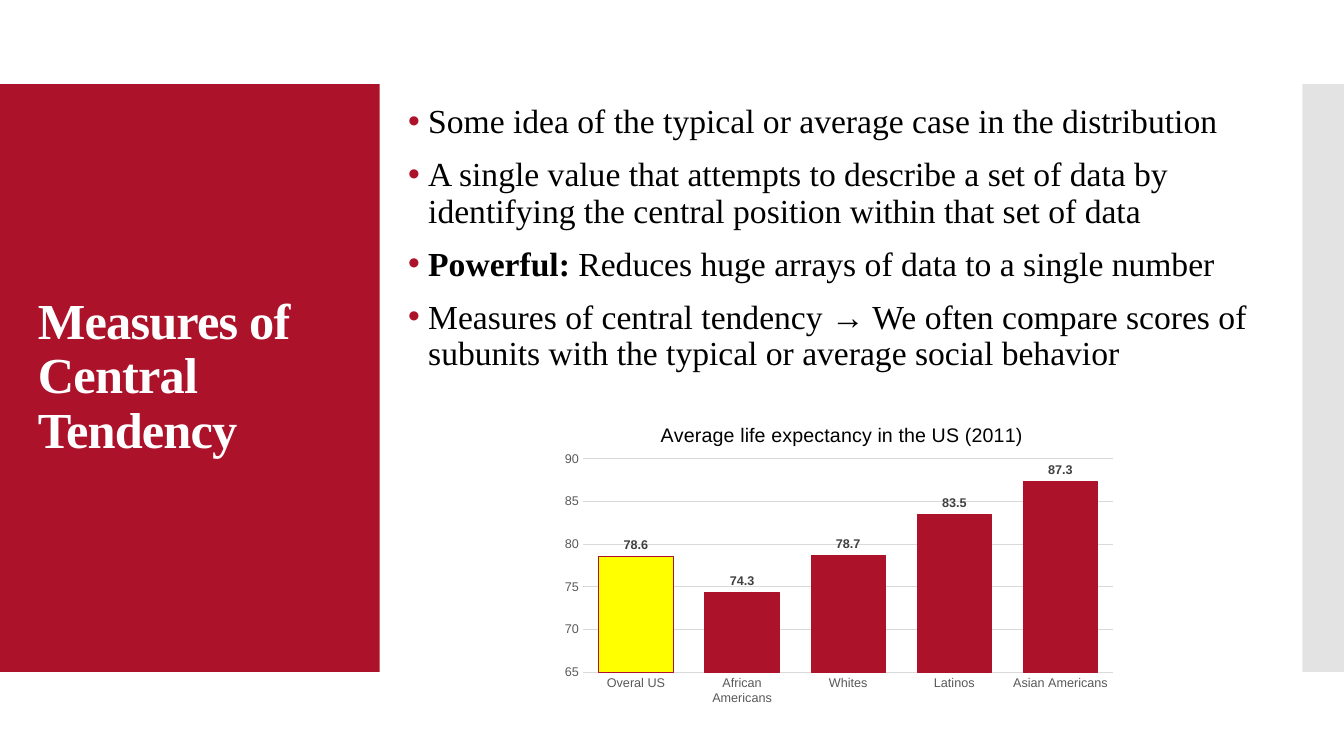
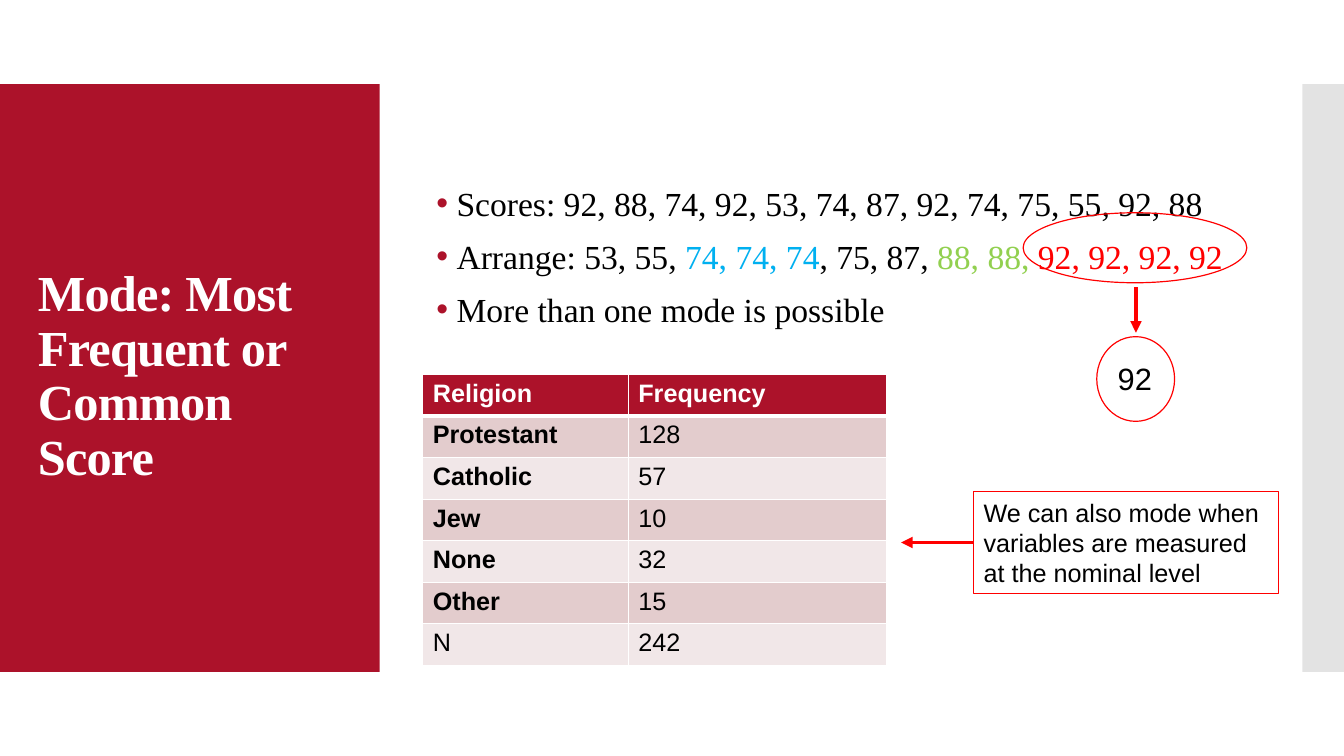
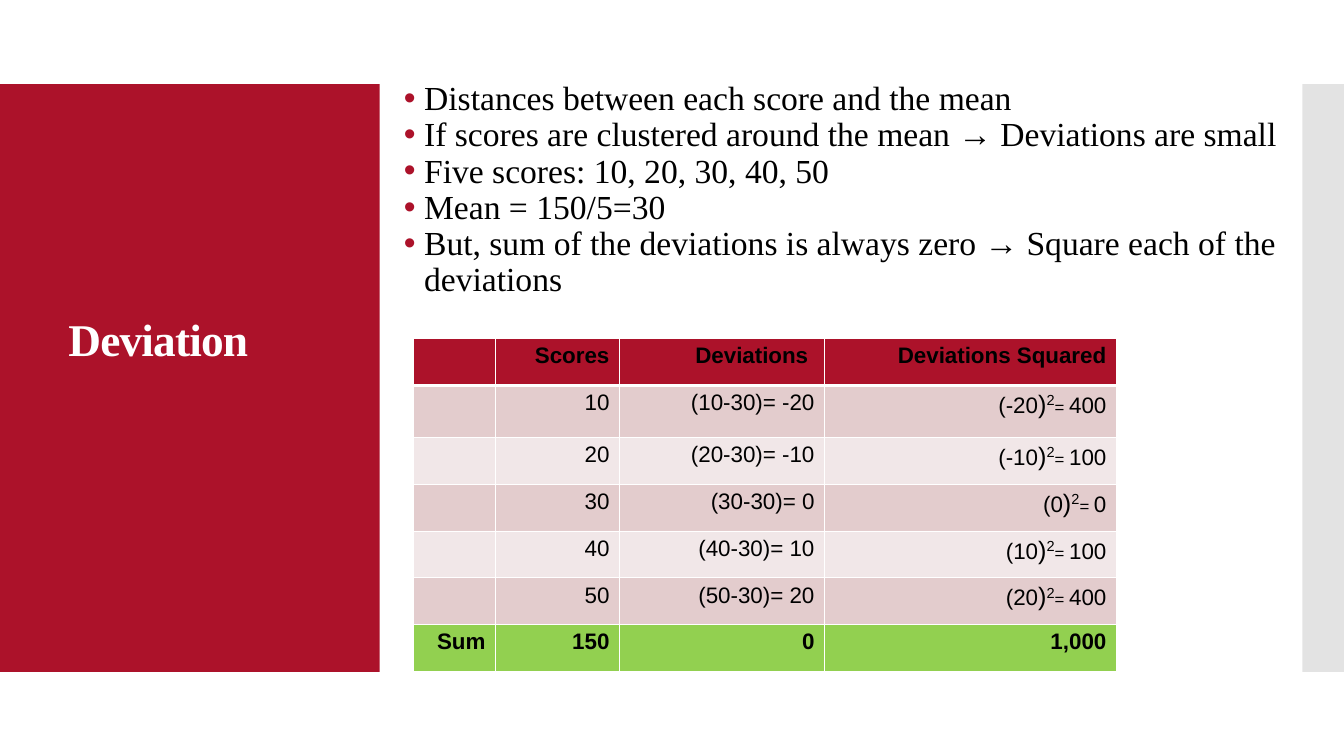
from dataclasses import dataclass, field

from lxml.etree import SubElement as Sub
from pptx import Presentation
from pptx.chart.data import CategoryChartData as Data
from pptx.dml.color import RGBColor as RGB
from pptx.enum.chart import XL_CHART_TYPE as Kind
from pptx.enum.chart import XL_LABEL_POSITION as Spot
from pptx.enum.chart import XL_TICK_MARK as Tick
from pptx.enum.shapes import MSO_CONNECTOR as Join
from pptx.enum.shapes import MSO_SHAPE as Form
from pptx.enum.text import MSO_ANCHOR as Anchor
from pptx.enum.text import PP_ALIGN as Align
from pptx.oxml.ns import qn
from pptx.util import Pt

CRIMSON = RGB(0xAC, 0x12, 0x2A)
SILVER = RGB(0xC8, 0xC8, 0xC8)
WHITE = RGB(0xFF, 0xFF, 0xFF)
BLACK = RGB(0, 0, 0)
RED = RGB(0xFF, 0, 0)
BLUE = RGB(0, 0xB0, 0xF0)
GREEN = RGB(0x92, 0xD0, 0x50)
YELLOW = RGB(0xFF, 0xFF, 0)
ROSE = RGB(0xE3, 0xCC, 0xCD)
BLUSH = RGB(0xF1, 0xE7, 0xE8)
RULE = RGB(0xD9, 0xD9, 0xD9)
GREY = RGB(0x59, 0x59, 0x59)
DARK = RGB(0x40, 0x40, 0x40)

SERIF, SANS = "Times New Roman", "Arial"
TITLE = {"name": SERIF, "size": Pt(36), "bold": True, "color": WHITE, "spc": "-60"}
BODY = {"name": SERIF, "size": Pt(24), "color": BLACK}
PLAIN = {"name": SANS, "size": Pt(18), "color": BLACK}
BOLD = PLAIN | {"bold": True}
SMALL = PLAIN | {"size": Pt(16)}
HEAVY = SMALL | {"bold": True}


@dataclass
class Box:
    x: float
    y: float
    w: float
    h: float

    def lens(self) -> tuple:
        return Pt(self.x), Pt(self.y), Pt(self.w), Pt(self.h)


@dataclass
class Run:
    text: str
    style: dict = field(default_factory=dict)


@dataclass
class Grid:
    box: Box
    cols: list[float]
    rows: list[float]
    cells: list[list[list[Run]]]
    fills: list[RGB]
    align: Align


def style_font(font, style: dict) -> None:
    for key, val in style.items():
        if key == "color":
            font.color.rgb = val
        else:
            setattr(font, key, val)


def write(para, runs: list[Run], base: dict) -> None:
    for run in runs:
        for num, part in enumerate(run.text.split("\n")):
            if num:
                para.add_line_break()
            item = para.add_run()
            item.text = part
            style = base | run.style
            props = item._r.get_or_add_rPr()
            for key in ("spc", "baseline"):
                if key in style:
                    props.set(key, style.pop(key))
            style_font(item.font, style)


def add_text(slide, box: Box, anchor: Anchor = Anchor.MIDDLE):
    frame = slide.shapes.add_textbox(*box.lens()).text_frame
    frame.word_wrap = True
    frame.vertical_anchor = anchor
    return frame


def add_title(slide, box: Box, text: str, size: float = 36) -> None:
    para = add_text(slide, box).paragraphs[0]
    para.line_spacing = 0.9
    write(para, [Run(text)], TITLE | {"size": Pt(size)})


def add_list(slide, box: Box, items: list[list[Run]], gap: float = 12) -> None:
    frame = add_text(slide, box)
    for num, runs in enumerate(items):
        para = frame.add_paragraph() if num else frame.paragraphs[0]
        para.line_spacing = 0.9
        para.space_before = Pt(gap if num else 0)
        props = para._p.get_or_add_pPr()
        props.set("marL", str(Pt(14.4)))
        props.set("indent", str(-Pt(14.4)))
        tint = Sub(props, qn("a:buClr"))
        Sub(tint, qn("a:srgbClr")).set("val", str(CRIMSON))
        Sub(props, qn("a:buFont")).set("typeface", SANS)
        Sub(props, qn("a:buChar")).set("char", "•")
        write(para, runs, BODY)


def add_form(slide, form: Form, box: Box, fill: RGB | None = None, width: float = 0):
    shape = slide.shapes.add_shape(form, *box.lens())
    shape.shadow.inherit = False
    if fill is None:
        shape.fill.background()
    else:
        shape.fill.solid()
        shape.fill.fore_color.rgb = fill
    if width:
        shape.line.color.rgb = RED
        shape.line.width = Pt(width)
    else:
        shape.line.fill.background()
    return shape


def add_arrow(slide, x: float, y: float, end_x: float, end_y: float):
    arrow = slide.shapes.add_connector(Join.STRAIGHT, Pt(x), Pt(y), Pt(end_x), Pt(end_y))
    arrow.line.color.rgb = RED
    arrow.line.width = Pt(2.75)
    Sub(arrow.element.xpath(".//a:ln")[0], qn("a:tailEnd")).set("type", "triangle")
    Sub(arrow.element.xpath("./p:spPr")[0], qn("a:effectLst"))
    return arrow


def add_edges(props, row: int) -> None:
    thick = {(0, "B"), (1, "T")}
    for num, side in enumerate("LRTB"):
        edge = Sub(props, qn(f"a:ln{side}"))
        edge.set("w", str(Pt(3 if (row, side) in thick else 1)))
        fill = Sub(edge, qn("a:solidFill"))
        Sub(fill, qn("a:srgbClr")).set("val", str(WHITE))
        props.insert(num, edge)


def add_grid(slide, grid: Grid) -> None:
    frame = slide.shapes.add_table(len(grid.rows), len(grid.cols), *grid.box.lens())
    table = frame.table
    table.first_row = table.horz_banding = False
    for col, width in zip(table.columns, grid.cols):
        col.width = Pt(width)
    for num, (row, height) in enumerate(zip(table.rows, grid.rows)):
        row.height = Pt(height)
        for cell, runs in zip(row.cells, grid.cells[num]):
            cell.fill.solid()
            cell.fill.fore_color.rgb = grid.fills[num]
            para = cell.text_frame.paragraphs[0]
            para.alignment = grid.align
            write(para, runs, {})
    for num, props in enumerate(frame.element.xpath(".//a:tcPr")):
        add_edges(props, num // len(grid.cols))


def place(node, index: int, inner: bool, **spots: float) -> None:
    for old in node.findall(qn("c:layout")):
        node.remove(old)
    layout = Sub(node, qn("c:layout"))
    node.insert(index, layout)
    manual = Sub(layout, qn("c:manualLayout"))
    if inner:
        Sub(manual, qn("c:layoutTarget")).set("val", "inner")
    for key in ("x", "y"):
        Sub(manual, qn(f"c:{key}Mode")).set("val", "edge")
    for key, val in spots.items():
        Sub(manual, qn(f"c:{key}")).set("val", str(val))


def add_bars(slide, box: Box) -> None:
    data = Data()
    data.categories = ["Overal US", "African Americans", "Whites", "Latinos", "Asian Americans"]
    data.add_series("Series 1", [78.6, 74.3, 78.7, 83.5, 87.3])
    chart = slide.shapes.add_chart(Kind.COLUMN_CLUSTERED, *box.lens(), data).chart
    chart.has_legend = False
    style_font(chart.font, PLAIN | {"size": Pt(10)})
    chart.has_title = True
    head = chart.chart_title
    write(head.text_frame.paragraphs[0], [Run("Average life expectancy in the US (2011)")],
          PLAIN | {"size": Pt(14), "bold": False})
    place(head.element, 1, False, x=0.18, y=0.05)
    place(chart.element.xpath(".//c:plotArea")[0], 0, True, x=0.05, y=0.18, w=0.93, h=0.69)

    for axis in (chart.category_axis, chart.value_axis):
        axis.major_tick_mark = axis.minor_tick_mark = Tick.NONE
        style_font(axis.tick_labels.font, PLAIN | {"size": Pt(9), "color": GREY})
    scale = chart.value_axis
    for key, val in {"minimum_scale": 65, "maximum_scale": 90, "major_unit": 5}.items():
        setattr(scale, key, val)
    scale.format.line.fill.background()
    for line in (chart.category_axis.format.line, scale.major_gridlines.format.line):
        line.color.rgb = RULE
        line.width = Pt(0.75)

    plot = chart.plots[0]
    for key, val in {"gap_width": 43, "overlap": -51, "vary_by_categories": False}.items():
        setattr(plot, key, val)
    bars = plot.series[0]
    for part, fill in ((bars, CRIMSON), (bars.points[0], YELLOW)):
        part.format.fill.solid()
        part.format.fill.fore_color.rgb = fill
        part.format.line.color.rgb = CRIMSON
        part.format.line.width = Pt(0.75)
    labels = bars.data_labels
    labels.show_value = True
    labels.position = Spot.OUTSIDE_END
    style_font(labels.font, BOLD | {"size": Pt(9), "color": DARK})


def add_slide(deck):
    slide = deck.slides.add_slide(deck.slide_layouts[6])
    add_form(slide, Form.RECTANGLE, Box(0, 60, 271.2, 420), CRIMSON)
    strip = add_form(slide, Form.RECTANGLE, Box(930.2, 60, 29.8, 420), SILVER)
    tint = strip.element.xpath("./p:spPr/a:solidFill/a:srgbClr")[0]
    Sub(tint, qn("a:alpha")).set("val", "50000")
    return slide


def center_slide(deck) -> None:
    slide = add_slide(deck)
    add_title(slide, Box(20, 88.5, 232, 362), "Measures of Central Tendency")
    add_list(slide, Box(284.4, 71, 613.4, 199), [
        [Run("Some idea of the typical or average case in the distribution")],
        [Run("A single value that attempts to describe a set of data by identifying "
             "the central position within that set of data")],
        [Run("Powerful: ", {"bold": True}),
         Run("Reduces huge arrays of data to a single number")],
        [Run("Measures of central tendency → We often compare scores of subunits "
             "with the typical or average social behavior")],
    ])
    add_bars(slide, Box(396, 288, 407.5, 221))


def mode_slide(deck) -> None:
    slide = add_slide(deck)
    add_title(slide, Box(20, 88.5, 232, 362), "Mode: Most Frequent or\nCommon\nScore")
    add_list(slide, Box(304.6, 100, 608.4, 169), [
        [Run("Scores: 92, 88, 74, 92, 53, 74, 87, 92, 74, 75, 55, 92, 88")],
        [Run("Arrange: 53, 55, "), Run("74, 74, 74", {"color": BLUE}), Run(", 75, 87, "),
         Run("88, 88, ", {"color": GREEN}), Run("92, 92, 92, 92", {"color": RED})],
        [Run("More than one mode is possible")],
    ])
    add_form(slide, Form.OVAL, Box(730.8, 152, 159.8, 50), width=0.85)
    add_arrow(slide, 811.4, 205.2, 811.4, 237.6)
    add_form(slide, Form.OVAL, Box(783.4, 240.5, 55.6, 60.5), width=0.85)
    frame = add_text(slide, Box(791.3, 253.4, 46, 34), Anchor.TOP)
    write(frame.paragraphs[0], [Run("92")], PLAIN | {"size": Pt(22)})

    faiths = [("Protestant", 128), ("Catholic", 57), ("Jew", 10), ("None", 32), ("Other", 15)]
    head = BOLD | {"color": WHITE}
    cells = [[[Run("Religion", head)], [Run("Frequency", head)]]]
    cells += [[[Run(name, BOLD)], [Run(str(count), PLAIN)]] for name, count in faiths]
    total = sum(count for name, count in faiths)
    cells.append([[Run("N", PLAIN)], [Run(str(total), PLAIN)]])
    add_grid(slide, Grid(Box(302, 267.5, 331, 208), [146.8, 184.2], [29.7] * 7, cells,
                         [CRIMSON] + [ROSE, BLUSH] * 3, Align.LEFT))

    note = add_form(slide, Form.RECTANGLE, Box(695.5, 351, 218, 73), width=0.75)
    note.text_frame.word_wrap = True
    para = note.text_frame.paragraphs[0]
    para.alignment = Align.LEFT
    write(para, [Run("We can also mode when variables are measured at the nominal level")], PLAIN)
    add_arrow(slide, 695.5, 387.5, 643.7, 387.5).begin_connect(note, 1)


def spread_slide(deck) -> None:
    slide = add_slide(deck)
    add_title(slide, Box(41.8, 222.5, 216, 44), "Deviation", 32.4)
    lines = [
        "Distances between each score and the mean",
        "If scores are clustered around the mean → Deviations are small",
        "Five scores: 10, 20, 30, 40, 50",
        "Mean = 150/5=30",
        "But, sum of the deviations is always zero → Square each of the deviations",
    ]
    add_list(slide, Box(281.5, 46, 656, 180), [[Run(line)] for line in lines], 0)

    scores = [10, 20, 30, 40, 50]
    mean = sum(scores) // len(scores)
    heads = ["Scores", "Deviations ", "Deviations Squared"]
    cells = [[[]] + [[Run(text, HEAVY)] for text in heads]]
    for score in scores:
        gap = score - mean
        cells.append([
            [],
            [Run(str(score), SMALL)],
            [Run(f"({score}-{mean})= {gap}", SMALL)],
            [Run(f"({gap}", SMALL), Run(")", PLAIN), Run("2", PLAIN | {"baseline": "30000"}),
             Run("= ", PLAIN | {"size": Pt(12)}), Run(str(gap ** 2), SMALL)],
        ])
    square = sum((score - mean) ** 2 for score in scores)
    sums = ["Sum", str(sum(scores)), "0", f"{square:,}"]
    cells.append([[Run(text, HEAVY)] for text in sums])
    add_grid(slide, Grid(Box(295, 242, 502.5, 238), [59, 88.5, 146.5, 208.5],
                         [33.4, 37.2] + [33.4] * 5, cells,
                         [CRIMSON, ROSE, BLUSH, ROSE, BLUSH, ROSE, GREEN], Align.RIGHT))


def main() -> None:
    deck = Presentation()
    deck.slide_width, deck.slide_height = Pt(960), Pt(540)
    for build in (center_slide, mode_slide, spread_slide):
        build(deck)
    deck.save("out.pptx")


if __name__ == "__main__":
    main()
